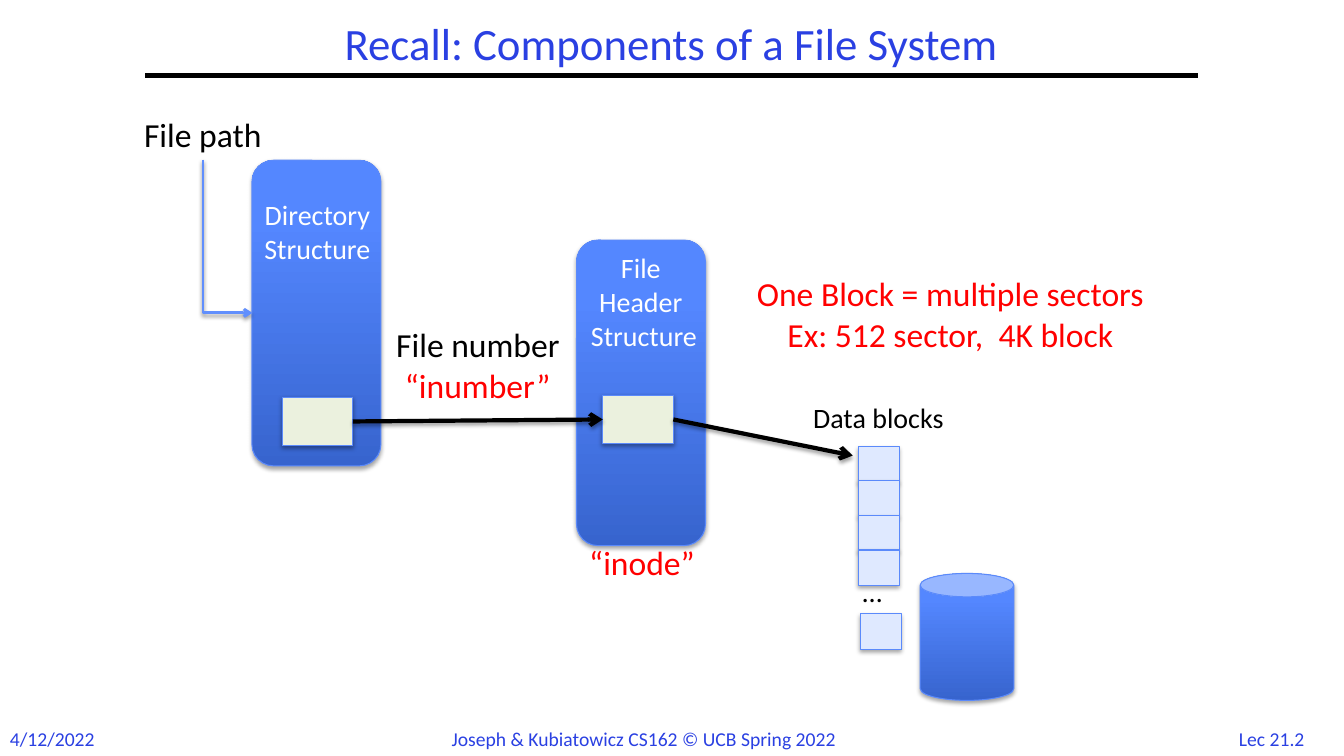
from dataclasses import dataclass

from lxml.etree import SubElement
from pptx import Presentation
from pptx.dml.color import RGBColor
from pptx.enum.shapes import MSO_CONNECTOR, MSO_SHAPE
from pptx.enum.text import MSO_ANCHOR, PP_ALIGN
from pptx.oxml.ns import qn
from pptx.util import Cm, Pt


@dataclass(frozen=True)
class Theme:
    """Colours, font and type sizes of the slide."""
    font: str = "Calibri"
    title: int = 32
    large: int = 24
    body: int = 20
    small: int = 14
    blue: str = "2A40E2"
    black: str = "000000"
    white: str = "FFFFFF"
    red: str = "FF0000"
    edge: str = "5B8AFB"
    elbow: str = "618FFD"
    deep: str = "3764CE"
    bright: str = "5487FF"
    cream: str = "EBF1DE"
    pale: str = "DFE9FF"


THEME = Theme()


def color(code):
    """Turn a hex code into a colour."""
    return RGBColor.from_string(code)


def part(box, left, top, width, height):
    """Place a part relative to the corner of a box."""
    return box[0] + left, box[1] + top, width, height


def write(slide, box, text, size=THEME.large, ink=THEME.black,
          align=PP_ALIGN.CENTER, anchor=MSO_ANCHOR.TOP, space=1.0):
    """Write one paragraph per line of text into a box."""
    frame = slide.shapes.add_textbox(*map(Cm, box)).text_frame
    frame.word_wrap = True
    frame.vertical_anchor = anchor
    frame.text = text
    for line in frame.paragraphs:
        line.alignment = align
        line.line_spacing = space
        font = line.runs[0].font
        font.name = THEME.font
        font.size = Pt(size)
        font.color.rgb = color(ink)


def shade(props, alpha):
    """Add a soft shadow that falls straight down."""
    effect = props.find(qn("a:effectLst"))
    if effect is None:
        effect = SubElement(props, qn("a:effectLst"))
    outer = SubElement(effect, qn("a:outerShdw"), blurRad=str(Pt(3.1)),
                       dist=str(Pt(1.8)), dir="5400000", rotWithShape="0")
    tint = SubElement(outer, qn("a:srgbClr"), val=THEME.black)
    SubElement(tint, qn("a:alpha"), val=str(alpha * 1000))


def block(slide, kind, box, fill=None):
    """Draw a shape with a flat fill, or a blue gradient by default."""
    shape = slide.shapes.add_shape(kind, *map(Cm, box))
    if fill:
        shape.fill.solid()
        shape.fill.fore_color.rgb = color(fill)
    else:
        shape.fill.gradient()
        shape.fill.gradient_angle = 90
        stops = shape.fill.gradient_stops
        for stop, code, place in zip(stops, (THEME.deep, THEME.bright), (0, 0.8)):
            stop.color.rgb = color(code)
            stop.position = place
    shape.line.color.rgb = color(THEME.edge)
    shape.line.width = Pt(0.75)
    shape.shadow.inherit = False
    shade(shape._element.spPr, 35)
    return shape


def link(slide, start, end, kind=MSO_CONNECTOR.STRAIGHT, ink=THEME.black,
         width=3, arrow=True):
    """Draw a line between two points, with an arrowhead if asked."""
    line = slide.shapes.add_connector(kind, *map(Cm, (*start, *end)))
    line.line.color.rgb = color(ink)
    line.line.width = Pt(width)
    props = line._element.spPr
    if arrow:
        SubElement(props.find(qn("a:ln")), qn("a:tailEnd"), type="arrow")
        shade(props, 38)
    else:
        SubElement(props, qn("a:effectLst"))
    return line


def frame(slide, box):
    """Place the title, its rule and the footer."""
    write(slide, part(box, 3.66, 0.43, 26.52, 1.47),
          "Recall: Components of a File System", size=THEME.title,
          ink=THEME.blue, anchor=MSO_ANCHOR.MIDDLE, space=0.9)
    link(slide, (box[0] + 3.66, box[1] + 1.9), (box[0] + 30.2, box[1] + 1.9),
         arrow=False)
    for left, width, text, align in (
            (0, 2.9, "4/12/2022", PP_ALIGN.LEFT),
            (11.13, 11.56, "Joseph & Kubiatowicz CS162 © UCB Spring 2022",
             PP_ALIGN.LEFT),
            (30.68, 2.74, "Lec 21.2", PP_ALIGN.CENTER)):
        write(slide, part(box, left, 18.19, width, 0.86), text,
              size=THEME.small, ink=THEME.blue, align=align)


def folder(slide, box):
    """Draw the directory with its path arrow and return its entry."""
    left, top = box[:2]
    block(slide, MSO_SHAPE.ROUNDED_RECTANGLE, box)
    write(slide, part(box, -0.05, 0.81, 3.4, 1.96), "Directory\nStructure",
          size=THEME.body, ink=THEME.white)
    write(slide, part(box, -2.97, -1.3, 3.78, 1.27), "File path",
          align=PP_ALIGN.LEFT)
    bend = link(slide, (left + 1.32, top + 1.29), (left - 2.54, top + 2.54),
                kind=MSO_CONNECTOR.ELBOW, ink=THEME.elbow, width=2)
    props = bend._element.spPr
    props.find(qn("a:prstGeom")).set("prst", "bentConnector2")
    props.find(qn("a:xfrm")).set("rot", "16200000")
    return block(slide, MSO_SHAPE.RECTANGLE, part(box, 0.76, 5.97, 1.78, 1.22),
                 THEME.cream)


def header(slide, box):
    """Draw the file header and return its entry."""
    block(slide, MSO_SHAPE.ROUNDED_RECTANGLE, box)
    write(slide, part(box, 0, 0.15, 3.4, 2.82), "File \nHeader \nStructure",
          size=THEME.body, ink=THEME.white)
    write(slide, part(box, 0.07, 7.49, 3.4, 1.27), "“inode”", ink=THEME.red,
          align=PP_ALIGN.LEFT)
    return block(slide, MSO_SHAPE.RECTANGLE, part(box, 0.66, 3.91, 1.78, 1.22),
                 THEME.cream)


def store(slide, box):
    """Draw the data blocks and the disk."""
    block(slide, MSO_SHAPE.CAN, part(box, 1.55, 3.2, 2.36, 3.2))
    spots = [(0, row * 0.87) for row in range(4)] + [(0.05, 4.22)]
    for left, top in spots:
        block(slide, MSO_SHAPE.RECTANGLE, part(box, left, top, 1.02, 0.89),
              THEME.pale)
    write(slide, part(box, -0.15, 3.1, 1.22, 1.12), "…", size=THEME.body,
          align=PP_ALIGN.LEFT)
    write(slide, part(box, -1.4, -1.29, 4.24, 1.12), "Data blocks",
          size=THEME.body, align=PP_ALIGN.LEFT)


def notes(slide, box):
    """Write the file number labels and the block size remark."""
    write(slide, part(box, 0, 1.29, 5.03, 1.27), "File number")
    write(slide, part(box, 0.4, 2.31, 4.22, 1.27), "“inumber”", ink=THEME.red)
    write(slide, part(box, 8.73, 0, 11.38, 2.31),
          "One Block = multiple sectors\nEx: 512 sector,  4K block",
          ink=THEME.red)


def main():
    """Build the slide and save it."""
    deck = Presentation()
    deck.slide_width, deck.slide_height = Cm(33.87), Cm(19.05)
    slide = deck.slides.add_slide(deck.slide_layouts[6])
    frame(slide, (0, 0, 33.87, 19.05))
    entry = folder(slide, (6.35, 4.04, 3.25, 7.7))
    inode = header(slide, (14.53, 6.05, 3.25, 7.7))
    shelf = (21.64, 11.25, 3.91, 6.4)
    store(slide, shelf)
    notes(slide, (9.53, 6.76, 20.11, 3.58))
    number = link(slide, (8.89, 10.62), (15.19, 10.57))
    number.begin_connect(entry, 3)
    number.end_connect(inode, 1)
    data = link(slide, (16.97, 10.57), (shelf[0] - 0.15, shelf[1] + 0.23))
    data.begin_connect(inode, 3)
    deck.save("out.pptx")


if __name__ == "__main__":
    main()
